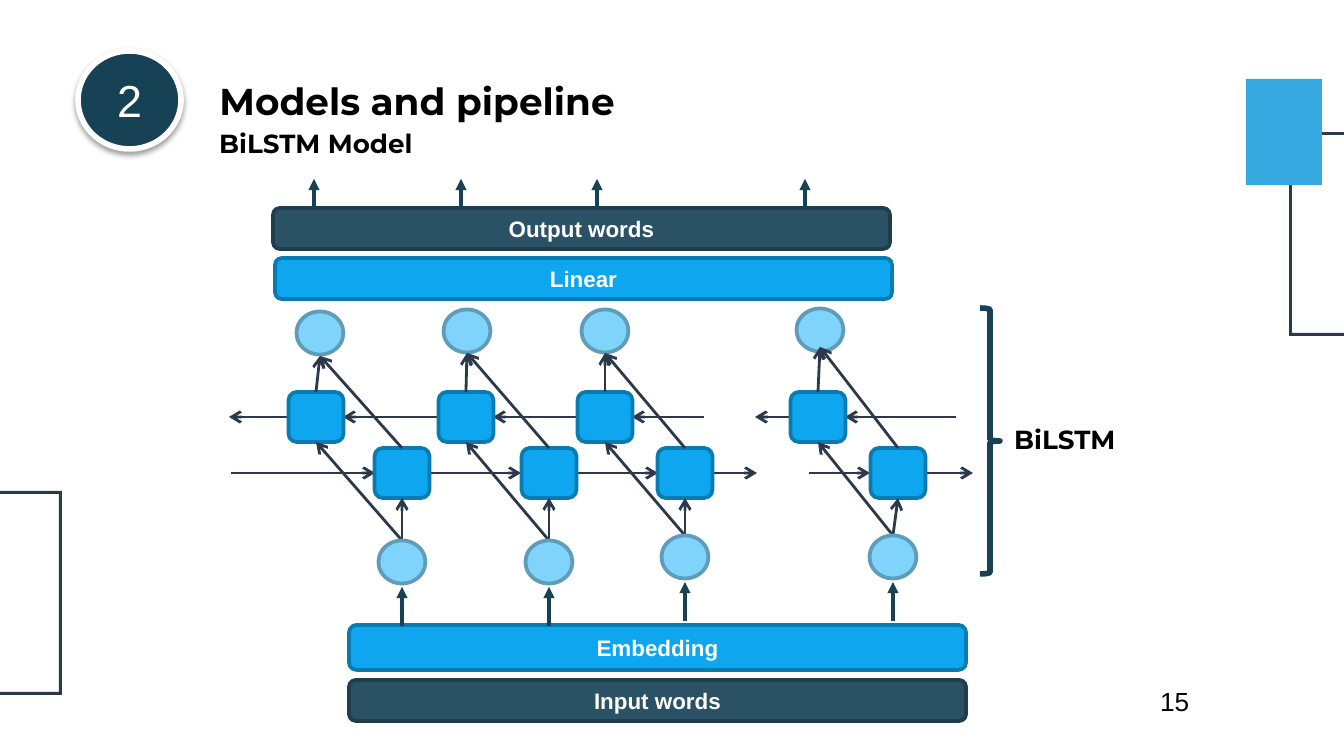
from lxml import etree
from pptx import Presentation
from pptx.dml.color import RGBColor
from pptx.enum.shapes import MSO_CONNECTOR, MSO_SHAPE
from pptx.enum.text import MSO_ANCHOR, MSO_AUTO_SIZE, PP_ALIGN
from pptx.oxml.ns import qn
from pptx.util import Emu, Pt

OVAL = MSO_SHAPE.OVAL
ROUND = MSO_SHAPE.ROUNDED_RECTANGLE
RECT = MSO_SHAPE.RECTANGLE
BRACE = MSO_SHAPE.RIGHT_BRACE
LINE = MSO_CONNECTOR.STRAIGHT
TOP, MIDDLE = MSO_ANCHOR.TOP, MSO_ANCHOR.MIDDLE
LEFT, CENTER = PP_ALIGN.LEFT, PP_ALIGN.CENTER
FIXED = MSO_AUTO_SIZE.NONE

WIDE, HIGH = 1344, 756
SCALE = 9144000 / WIDE

COLORS = {
    "black": "000000", "white": "FFFFFF", "navy": "174155",
    "ink": "2B394A", "sky": "35A9E0", "blue": "0EA6EE",
    "rim": "0A7BB0", "slate": "2B5264", "edge": "203D4A",
    "pale": "80D3FA", "ring": "5F9CB9",
}
FONTS = {
    "title": {"name": "Montserrat", "size": Pt(20), "bold": True},
    "label": {"name": "Montserrat", "size": Pt(14), "bold": True},
    "bar": {"name": "Arial", "size": Pt(12), "bold": True},
    "badge": {"name": "Arial", "size": Pt(24), "bold": False},
    "page": {"name": "Arial", "size": Pt(14), "bold": False},
}

CELL_W, CELL_H = 55, 50
DOT_W, DOT_H = 47, 43
FORE_Y, BACK_Y = 473, 417
# Centres per time step: input dot, forward cell, backward cell, output dot, arrow tip
STEPS = (
    ((402, 562), 402, 316, (320, 333), 356),
    ((549, 562), 549, 466, (467, 331), 353),
    ((685, 557), 685, 605, (605, 331), 353),
    ((893, 557), 898, 818, (820, 330), 347),
)
FORE_LINKS = ((231, 375), (430, 521), (577, 658), (713, 757), (809, 870), (926, 973))
BACK_LINKS = ((289, 229), (438, 343), (578, 493), (704, 632), (790, 755), (956, 845))
BARS = (
    ("Output words", 273, 208, 41, "slate", "edge"),
    ("Linear", 275, 258, 41, "blue", "rim"),
    ("Embedding", 349, 625, 45, "blue", "rim"),
    ("Input words", 349, 680, 41, "slate", "edge"),
)


def px(count):
    return Emu(round(count * SCALE))


def color(name):
    return RGBColor.from_string(COLORS[name])


def write(shape, text, font, tint="black", align=LEFT, anchor=TOP, wrap=True):
    frame = shape.text_frame
    frame.text = text
    values = {"word_wrap": wrap, "vertical_anchor": anchor, "auto_size": FIXED}
    for key, value in values.items():
        setattr(frame, key, value)
    para = frame.paragraphs[0]
    para.alignment = align
    for key, value in FONTS[font].items():
        setattr(para.font, key, value)
    para.font.color.rgb = color(tint)


def add_text(slide, text, box, font, wrap=False):
    shape = slide.shapes.add_textbox(*map(px, box))
    write(shape, text, font, wrap=wrap)


def add_title(slide, text, box):
    title = slide.shapes.title
    for key, value in zip(("left", "top", "width", "height"), box):
        setattr(title, key, px(value))
    write(title, text, "title")


def paint(shape, fill, line=None, width=2):
    """Fill and outline a shape; None means no fill or no outline."""
    shape.shadow.inherit = False
    if fill:
        shape.fill.solid()
        shape.fill.fore_color.rgb = color(fill)
    else:
        shape.fill.background()
    if line:
        shape.line.color.rgb = color(line)
        shape.line.width = Pt(width)
    else:
        shape.line.fill.background()


def add_shape(slide, kind, box, fill, line=None, width=2):
    shape = slide.shapes.add_shape(kind, *map(px, box))
    paint(shape, fill, line, width)
    return shape


def add_node(slide, kind, mid, size, fill, line):
    """Place a shape by its centre."""
    x, y = mid
    w, h = size
    add_shape(slide, kind, (x - w / 2, y - h / 2, w, h), fill, line)


def add_arrow(slide, start, end, tint="ink", width=1.5, head="arrow"):
    link = slide.shapes.add_connector(LINE, *map(px, (*start, *end)))
    link.line.color.rgb = color(tint)
    link.line.width = Pt(width)
    props = link._element.spPr
    etree.SubElement(props.find(qn("a:ln")), qn("a:tailEnd"), type=head)
    etree.SubElement(props, qn("a:effectLst"))


def add_stem(slide, x, low, high):
    add_arrow(slide, (x, low), (x, high), "navy", 2, "triangle")


def add_frame(slide, x, y, w, h, rim=3):
    """Draw a hollow rectangle as an outer and an inner contour."""
    right, low = x + w, y + h
    outer = [(x, y), (right, y), (right, low), (x, low)]
    inner = [(x + rim, y + rim), (x + rim, low - rim),
             (right - rim, low - rim), (right - rim, y + rim)]
    pen = slide.shapes.build_freeform(*outer[0], scale=SCALE)
    pen.add_line_segments(outer[1:])
    pen.move_to(*inner[0])
    pen.add_line_segments(inner[1:])
    paint(pen.convert_to_shape(), "ink")


def add_badge(slide, text, box):
    badge = add_shape(slide, OVAL, box, "navy", "white", 3)
    write(badge, text, "badge", "white", CENTER, MIDDLE)
    effects = badge._element.spPr.find(qn("a:effectLst"))
    shade = etree.SubElement(effects, qn("a:outerShdw"), blurRad=str(Pt(3.1)),
                             dist=str(Pt(1.6)), dir="5400000", rotWithShape="0")
    tint = etree.SubElement(shade, qn("a:srgbClr"), val=COLORS["black"])
    etree.SubElement(tint, qn("a:alpha"), val="38000")


def add_step(slide, source, fore, back, out, tip):
    x, y = source
    top = y - DOT_H / 2
    half = CELL_H / 2
    for cell, row in ((fore, FORE_Y), (back, BACK_Y)):
        add_node(slide, ROUND, (cell, row), (CELL_W, CELL_H), "blue", "rim")
        add_arrow(slide, (x, top), (cell, row + half))
    for dot in (source, out):
        add_node(slide, OVAL, dot, (DOT_W, DOT_H), "pale", "ring")
    for cell, row in ((fore, FORE_Y), (back, BACK_Y)):
        add_arrow(slide, (cell, row - half), (out[0], tip))
    add_stem(slide, x, y + 64, y + 25)
    add_stem(slide, x - 88, 208, 179)


def main():
    deck = Presentation()
    deck.slide_width, deck.slide_height = px(WIDE), px(HIGH)
    slide = deck.slides.add_slide(deck.slide_layouts[5])

    add_frame(slide, 1289, 132, 175, 204)
    add_frame(slide, -113, 491, 175, 204)
    add_shape(slide, RECT, (1246, 79, 76, 106), "sky")
    add_badge(slide, "2", (78, 51, 103, 98))
    add_title(slide, "Models and pipeline", (206, 71, 587, 59))
    add_text(slide, "BiLSTM Model", (206, 121, 223, 46), "label")
    add_text(slide, "BiLSTM", (1001, 417, 129, 46), "label")
    add_text(slide, "15", (1147, 679, 125, 59), "page", wrap=True)

    for links, row in ((FORE_LINKS, FORE_Y), (BACK_LINKS, BACK_Y)):
        for start, end in links:
            add_arrow(slide, (start, row), (end, row))
    for text, x, y, h, fill, line in BARS:
        bar = add_shape(slide, ROUND, (x, y, 617, h), fill, line)
        write(bar, text, "bar", "white", CENTER, MIDDLE)
    for step in STEPS:
        add_step(slide, *step)
    add_shape(slide, BRACE, (980, 308, 20, 266), None, "navy", 3)

    deck.save("out.pptx")


if __name__ == "__main__":
    main()
